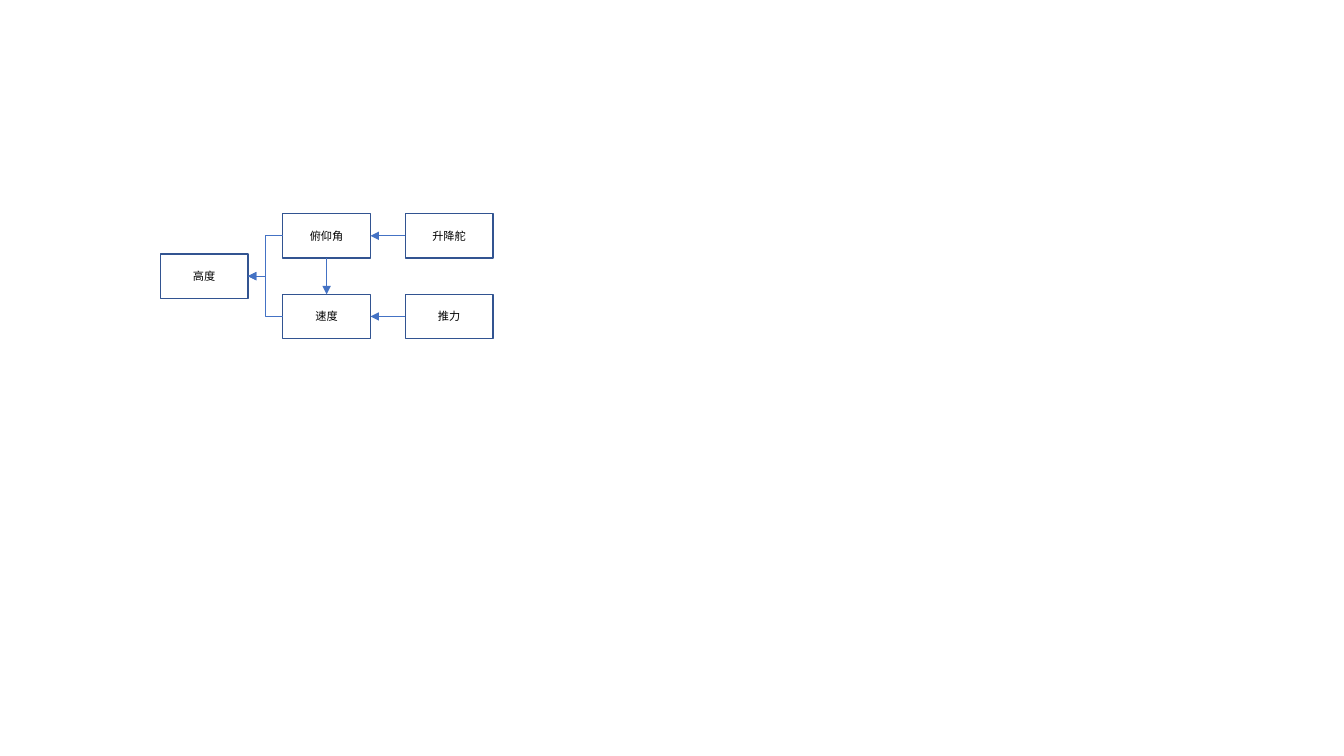
from lxml import etree
from pptx import Presentation
from pptx.dml.color import RGBColor
from pptx.enum.shapes import MSO_CONNECTOR, MSO_SHAPE
from pptx.enum.text import MSO_ANCHOR, PP_ALIGN
from pptx.oxml.ns import qn
from pptx.util import Inches, Pt

RECT = MSO_SHAPE.RECTANGLE
STRAIGHT, ELBOW = MSO_CONNECTOR.STRAIGHT, MSO_CONNECTOR.ELBOW
MIDDLE, CENTER = MSO_ANCHOR.MIDDLE, PP_ALIGN.CENTER

COLORS = {"box": "FFFFFF", "border": "325491", "arrow": "4472C4", "text": "000000"}
FONT = "Noto Sans CJK SC"
LEFT, TOP = 1.59, 2.12
BOX_W, BOX_H = 0.87, 0.44
COL_STEP, ROW_STEP = 1.215, 0.8

# Connection sites of a rectangle
SITE_TOP, SITE_LEFT, SITE_BOTTOM, SITE_RIGHT = range(4)

# Label: (column, row); the height box sits halfway between the rows
BOXES = {
    "高度": (0, 0.5),
    "速度": (1, 1),
    "俯仰角": (1, 0),
    "推力": (2, 1),
    "升降舵": (2, 0),
}
LEFTWARD_ARROWS = [
    ("推力", "速度", STRAIGHT),
    ("升降舵", "俯仰角", STRAIGHT),
    ("速度", "高度", ELBOW),
    ("俯仰角", "高度", ELBOW),
]


def color(name):
    """Return the named colour."""
    return RGBColor.from_string(COLORS[name])


def add_box(slide, label, col, row):
    """Add a labelled box at a grid position."""
    sp = slide.shapes.add_shape(
        RECT, Inches(LEFT + col * COL_STEP), Inches(TOP + row * ROW_STEP),
        Inches(BOX_W), Inches(BOX_H))
    sp.shadow.inherit = False
    sp.fill.solid()
    sp.fill.fore_color.rgb = color("box")
    sp.line.color.rgb = color("border")
    sp.line.width = Pt(1)
    tf = sp.text_frame
    tf.vertical_anchor = MIDDLE
    p = tf.paragraphs[0]
    p.text = label
    p.alignment = CENTER
    p.font.size = Pt(8)
    p.font.color.rgb = color("text")
    p.font.name = FONT
    props = p._p.pPr.find(qn("a:defRPr"))
    etree.SubElement(props, qn("a:ea"), typeface=FONT)
    return sp


def add_arrow(slide, kind, start, start_site, end, end_site):
    """Join two boxes with an arrow that points at the second."""
    cxn = slide.shapes.add_connector(kind, 0, 0, 0, 0)
    cxn.begin_connect(start, start_site)
    cxn.end_connect(end, end_site)
    cxn.line.color.rgb = color("arrow")
    cxn.line.width = Pt(0.5)
    etree.SubElement(cxn.line._get_or_add_ln(), qn("a:tailEnd"), type="triangle")
    etree.SubElement(cxn._element.spPr, qn("a:effectLst"))


def main():
    """Build the control diagram and save it."""
    prs = Presentation()
    prs.slide_width, prs.slide_height = Inches(13.33), Inches(7.5)
    slide = prs.slides.add_slide(prs.slide_layouts[6])

    boxes = {label: add_box(slide, label, *cell) for label, cell in BOXES.items()}
    for start, end, kind in LEFTWARD_ARROWS:
        add_arrow(slide, kind, boxes[start], SITE_LEFT, boxes[end], SITE_RIGHT)
    add_arrow(slide, STRAIGHT, boxes["俯仰角"], SITE_BOTTOM, boxes["速度"], SITE_TOP)

    prs.save("out.pptx")


main()
